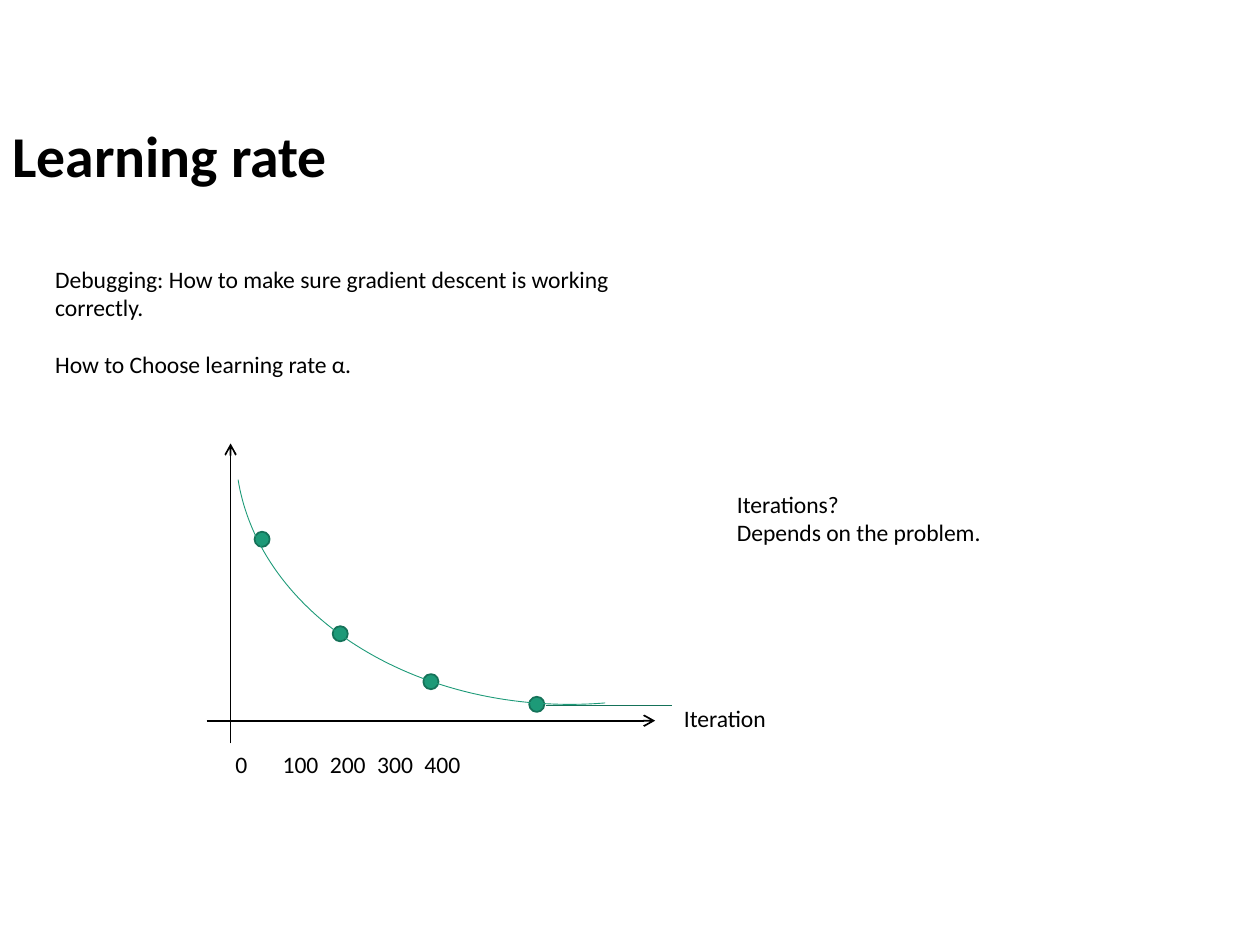
import pptx
import pptx.util
import pptx.dml.color
import pptx.enum.shapes
import pptx.enum.text
import pptx.oxml.ns
from lxml import etree

# Grid: 100 columns by 75 rows, square cells
WIDE, HIGH = pptx.util.Inches(10), pptx.util.Inches(7.5)
COLS, ROWS = 100, 75
FONT, SIZE = "Calibri", 13.5
BLACK, GREEN, DARK = "000000", "1D9A78", "157259"
KIND = pptx.enum.shapes.MSO_SHAPE


def col(num):
    return round(WIDE * num / COLS)


def row(num):
    return round(HIGH * num / ROWS)


def area(left, top, width, height):
    return col(left), row(top), col(width), row(height)


def paint(part, code):
    part.rgb = pptx.dml.color.RGBColor.from_string(code)


def stroke(line, code, width):
    line.fill.solid()
    paint(line.fill.fore_color, code)
    line.width = pptx.util.Pt(width)


def add_text(slide, box, lines, size=SIZE, bold=False, wrap=False, gap=0, tab=0):
    frame = slide.shapes.add_textbox(*area(*box)).text_frame
    frame.word_wrap = wrap
    frame.auto_size = pptx.enum.text.MSO_AUTO_SIZE.SHAPE_TO_FIT_TEXT
    for num, line in enumerate(lines):
        para = frame.add_paragraph() if num else frame.paragraphs[0]
        if num and gap:
            para.space_before = pptx.util.Pt(gap)
        if tab:
            para._p.get_or_add_pPr().set("defTabSz", str(col(tab)))
        run = para.add_run()
        run.text = line
        run.font.name, run.font.size = FONT, pptx.util.Pt(size)
        run.font.bold = bold
        paint(run.font.color, BLACK)
    return frame


def add_line(slide, start, end, code, width, arrow=False):
    line = slide.shapes.add_connector(
        pptx.enum.shapes.MSO_CONNECTOR.STRAIGHT,
        col(start[0]), row(start[1]), col(end[0]), row(end[1]))
    stroke(line.line, code, width)
    if arrow:
        tip = etree.SubElement(line.line._get_or_add_ln(),
                               pptx.oxml.ns.qn("a:tailEnd"))
        tip.set("type", "arrow")
    etree.SubElement(line._element.spPr, pptx.oxml.ns.qn("a:effectLst"))


def add_dot(slide, left, top, size=1.2):
    dot = slide.shapes.add_shape(KIND.FLOWCHART_CONNECTOR,
                                 *area(left, top, size, size))
    dot.shadow.inherit = False
    dot.fill.solid()
    paint(dot.fill.fore_color, GREEN)
    stroke(dot.line, DARK, 1)


def add_arc(slide, box, angles):
    arc = slide.shapes.add_shape(KIND.ARC, *area(*box))
    arc.shadow.inherit = False
    arc.fill.background()
    stroke(arc.line, GREEN, 0.5)
    arc.rotation = 180
    # Angles are kept in 1/60000 degree, scaled by 100000
    for num, angle in enumerate(angles):
        arc.adjustments[num] = angle * 0.6


def main():
    deck = pptx.Presentation()
    deck.slide_width, deck.slide_height = WIDE, HIGH
    slide = deck.slides.add_slide(deck.slide_layouts[6])

    # Title and questions
    title = add_text(slide, (0, 9.4, 100, 6.4), ["Learning rate"],
                     size=33, bold=True, wrap=True)
    title.auto_size = pptx.enum.text.MSO_AUTO_SIZE.NONE
    title.vertical_anchor = pptx.enum.text.MSO_ANCHOR.MIDDLE
    title.paragraphs[0].line_spacing = 0.9
    add_text(slide, (3.4, 20.5, 50, 10.1),
             ["Debugging: How to make sure gradient descent is working correctly.",
              "How to Choose learning rate α."], wrap=True, gap=16.5)

    # Axes and their labels
    add_line(slide, (16.4, 57.2), (52, 57.2), BLACK, 1, arrow=True)
    add_line(slide, (18.3, 59), (18.3, 35.2), BLACK, 1, arrow=True)
    add_text(slide, (53.3, 55.4, 8.6, 3.3), ["Iteration"])
    add_text(slide, (17.7, 59, 21, 3.3), ["0\t100\t200\t300\t400\t"], tab=3.75)

    # Points, flat end and note
    for spot in ((20.2, 42.2), (33.6, 53.5), (26.4, 49.7), (42, 55.3)):
        add_dot(slide, *spot)
    add_line(slide, (43.3, 56), (53.3, 56), DARK, 0.5)
    add_text(slide, (57.5, 38.4, 22.1, 5.6),
             ["Iterations?", "Depends on the problem."])

    # Falling curve
    add_arc(slide, (18.7, 15.3, 53, 40.6), (262.04, 354.64))

    deck.save("out.pptx")


if __name__ == "__main__":
    main()
